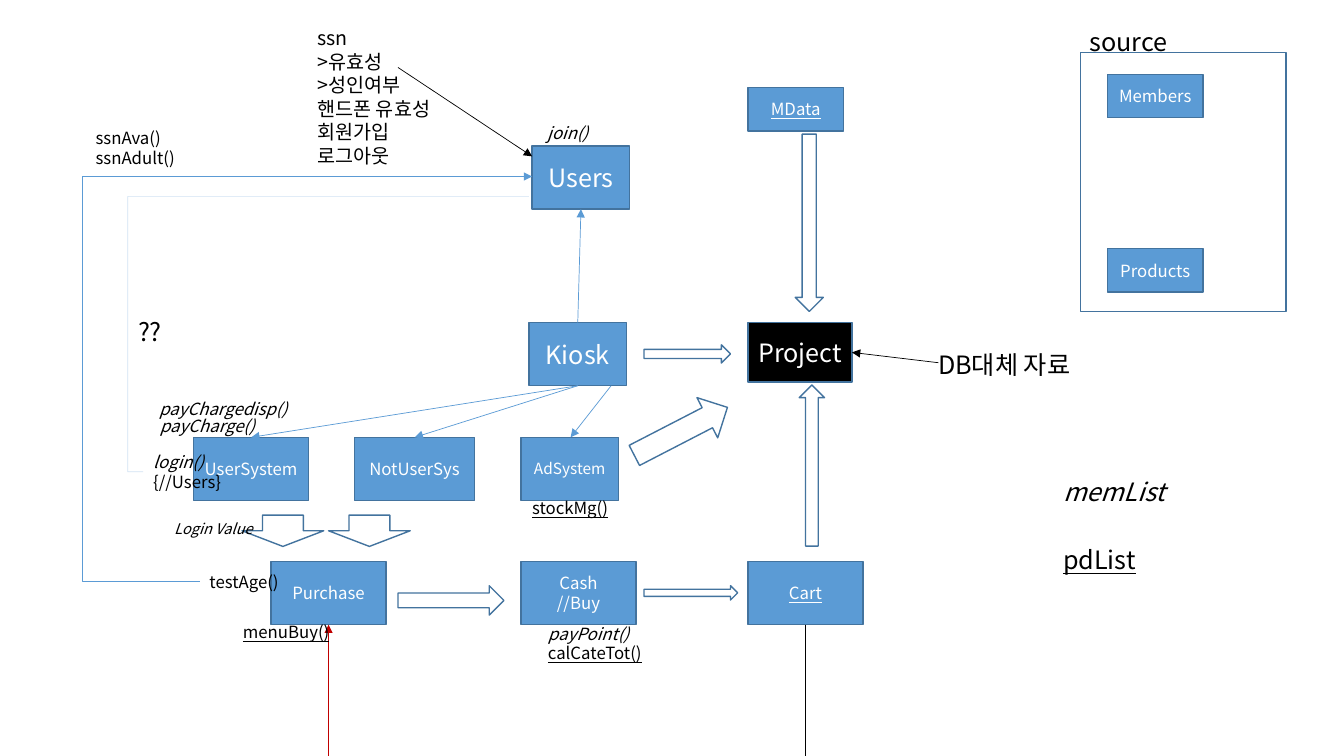
from lxml import etree
from pptx import Presentation
from pptx import util as u
from pptx.dml.color import RGBColor
from pptx.enum import shapes, text
from pptx.oxml.ns import qn

FONT = "Noto Sans CJK KR"
BLUE, OUTLINE, RED, BLACK, WHITE = "5B9BD5", "43739E", "C00000", "000000", "FFFFFF"
TOP, LEFT, BOTTOM = 0, 1, 2  # connection sites of a rectangle


def colour(hex_value):
    return RGBColor.from_string(hex_value)


def place(*lengths):
    return [u.Cm(length) for length in lengths]


def write(frame, lines, size, ink, align, italic=False, underline=False):
    """Fill a text frame with one paragraph per line; italic may list line numbers."""
    for number, line in enumerate(lines.split("\n")):
        paragraph = frame.paragraphs[0] if number == 0 else frame.add_paragraph()
        paragraph.text = line
        paragraph.alignment = align
        font = paragraph.font
        font.size, font.name = u.Pt(size), FONT
        font.color.rgb = colour(ink)
        font.italic = number in italic if isinstance(italic, tuple) else italic
        font.underline = underline
        etree.SubElement(font._rPr, qn("a:ea"), typeface=FONT)


def outlined(slide, preset, bounds, fill=None):
    shape = slide.shapes.add_shape(preset, *place(*bounds))
    shape.shadow.inherit = False
    if fill:
        shape.fill.solid()
        shape.fill.fore_color.rgb = colour(fill)
    else:
        shape.fill.background()
    shape.line.color.rgb = colour(OUTLINE)
    shape.line.width = u.Pt(1)
    return shape


def box(slide, name, bounds, size=12, fill=BLUE, underline=False):
    shape = outlined(slide, shapes.MSO_SHAPE.RECTANGLE, bounds, fill)
    shape.text_frame.word_wrap = False
    shape.text_frame.vertical_anchor = text.MSO_ANCHOR.MIDDLE
    write(shape.text_frame, name, size, WHITE, text.PP_ALIGN.CENTER, underline=underline)
    return shape


def block_arrow(slide, preset, bounds, rotation=0):
    outlined(slide, preset, bounds).rotation = rotation


def label(slide, words, bounds, size=12, italic=False, underline=False):
    frame = slide.shapes.add_textbox(*place(*bounds)).text_frame
    frame.word_wrap = True
    write(frame, words, size, BLACK, text.PP_ALIGN.LEFT, italic, underline)


def link(slide, ends, ink=BLUE, arrow=True, bend=None, opacity=None):
    """Thin line between two points; bend is the elbow's share of the width."""
    kind = shapes.MSO_CONNECTOR.STRAIGHT if bend is None else shapes.MSO_CONNECTOR.ELBOW
    line = slide.shapes.add_connector(kind, *place(*ends))
    line.line.color.rgb = colour(ink)
    line.line.width = u.Pt(0.5)
    properties = line._element.spPr
    if bend is not None:
        guides = properties.find(qn("a:prstGeom")).get_or_add_avLst()
        etree.SubElement(guides, qn("a:gd"), name="adj1", fmla=f"val {round(bend * 100000)}")
    stroke = properties.find(qn("a:ln"))
    if opacity:
        tint = stroke.find(".//" + qn("a:srgbClr"))
        etree.SubElement(tint, qn("a:alpha"), val=str(opacity * 1000))
    if arrow:
        etree.SubElement(stroke, qn("a:tailEnd"), type="triangle")
    etree.SubElement(properties, qn("a:effectLst"))
    return line


def join(slide, start, start_site, end, end_site):
    line = link(slide, (0, 0, 1, 1))
    line.begin_connect(start, start_site)
    line.end_connect(end, end_site)


def main():
    deck = Presentation()
    deck.slide_width, deck.slide_height = place(33.87, 19.05)
    slide = deck.slides.add_slide(deck.slide_layouts[6])

    # Classes of the kiosk
    tall, wide, narrow = 1.59, 2.9, 2.46
    systems_y, buying_y, project_x = 11.02, 14.15, 18.85
    user_system = box(slide, "UserSystem", (4.88, systems_y, wide, tall))
    not_user = box(slide, "NotUserSys", (8.94, systems_y, 3.02, tall))
    box(slide, "AdSystem", (13.13, systems_y, narrow, tall), 11)
    users = box(slide, "Users", (13.41, 3.68, narrow, tall), 18)
    kiosk = box(slide, "Kiosk", (13.33, 8.13, narrow, tall), 18)
    box(slide, "Purchase", (6.83, buying_y, wide, tall))
    box(slide, "Cash\n//Buy", (13.13, buying_y, wide, tall))
    box(slide, "Cart", (project_x, buying_y, wide, tall), underline=True)
    box(slide, "MData", (project_x, 2.21, 2.41, 1.09), underline=True)
    box(slide, "Project", (project_x, 8.13, 2.62, 1.5), 18, BLACK)

    # Source frame with its two files
    outlined(slide, shapes.MSO_SHAPE.RECTANGLE, (27.23, 1.32, 5.18, 6.53))
    for name, top in (("Members", 1.88), ("Products", 6.27)):
        box(slide, name, (27.91, top, 2.41, 1.09))

    # Block arrows for the data flow
    down, right = shapes.MSO_SHAPE.DOWN_ARROW, shapes.MSO_SHAPE.RIGHT_ARROW
    for left in (8.28, 6.1):
        block_arrow(slide, down, (left, 12.98, 2.06, 0.79))
    block_arrow(slide, right, (10.03, 14.76, 2.67, 0.74))
    block_arrow(slide, right, (16.23, 14.76, 2.36, 0.36))
    block_arrow(slide, right, (16.23, 8.69, 2.18, 0.46))
    block_arrow(slide, down, (20.14, 9.7, 0.64, 4.06), 180)
    block_arrow(slide, down, (16.59, 9.55, 1.14, 2.64), 242.7)
    block_arrow(slide, down, (20.04, 3.38, 0.71, 4.47))

    # Calls between classes
    join(slide, kiosk, BOTTOM, user_system, TOP)
    join(slide, kiosk, BOTTOM, not_user, TOP)
    join(slide, kiosk, TOP, users, BOTTOM)
    link(slide, (15.4, 9.72, 14.38, 11.02))
    link(slide, (23.65, 9.14, 21.47, 8.88), BLACK)
    link(slide, (10.03, 1.7, 13.41, 3.94), BLACK)
    link(slide, (5.03, 14.66, 13.41, 4.45), bend=-0.354)
    link(slide, (3.61, 11.89, 13.33, 4.95), arrow=False, bend=-0.04, opacity=27)

    # Cart back to Purchase, running past the lower edge
    link(slide, (20.29, 15.74, 20.29, 19.05), BLACK, arrow=False)
    link(slide, (8.28, 19.05, 8.28, 15.74), RED)

    # Methods and notes
    label(slide, "ssn\n>유효성\n>성인여부\n핸드폰 유효성\n회원가입\n로그아웃", (7.75, 0.53, 4.19, 3.84), 14)
    label(slide, "ssnAva()\nssnAdult()", (2.16, 3.1, 2.74, 1.27))
    label(slide, "login()\n{//Users}", (3.61, 11.25, 2.54, 1.27), italic=(0,))
    label(slide, "testAge()", (5.03, 14.27, 2.46, 0.76))
    label(slide, "Login Value", (4.14, 12.98, 2.77, 0.74), 10.5, italic=True)
    for words, bounds in (
        ("join()", (13.54, 2.97, 2.72, 0.76)),
        ("payCharge()", (3.78, 10.34, 3.3, 0.74)),
        ("payChargedisp()", (3.76, 9.93, 3.96, 0.74)),
        ("payPoint()", (13.56, 15.6, 2.72, 0.76)),
    ):
        label(slide, words, bounds, italic=True)
    for words, bounds in (
        ("stockMg()", (13.16, 12.42, 2.72, 0.76)),
        ("calCateTot()", (13.56, 16.08, 3.35, 0.74)),
        ("menuBuy()", (5.87, 15.54, 3.35, 0.76)),
    ):
        label(slide, words, bounds, underline=True)
    label(slide, "DB대체 자료", (23.39, 8.69, 4.11, 1.02), 18)
    label(slide, "??", (3.23, 7.85, 2.41, 1.02), 18)
    label(slide, "source", (27.2, 0.53, 4.14, 1.02), 18)
    label(slide, "memList", (26.54, 11.89, 3.48, 1), 18, italic=True)
    label(slide, "pdList", (26.54, 13.59, 3.48, 1.02), 18, underline=True)

    deck.save("out.pptx")


if __name__ == "__main__":
    main()
